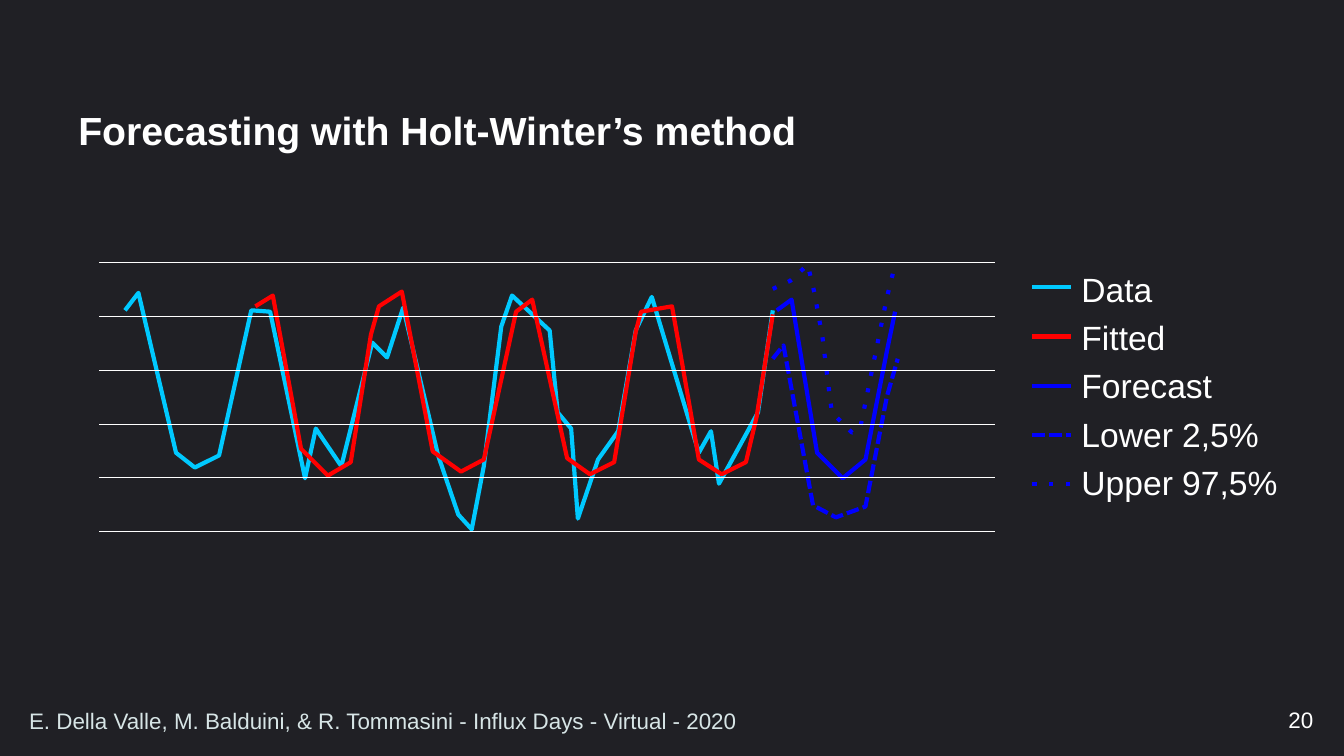
from dataclasses import dataclass

from pptx import Presentation
from pptx import util as u
from pptx.dml.color import RGBColor
from pptx.enum import shapes, text
from pptx.oxml import ns
from pptx.oxml.xmlchemy import OxmlElement


@dataclass(frozen=True)
class Theme:
    font: str = "Arial"
    background: str = "202025"
    ink: str = "FFFFFF"
    footer: str = "D7E5E6"
    data: str = "00C9FF"
    fitted: str = "FF0000"
    forecast: str = "0000FF"
    title_size: int = 21
    legend_size: int = 18
    footer_size: int = 12
    curve_width: float = 2.25
    grid_width: float = 0.25


THEME = Theme()
PLOT_UNIT = u.Cm(0.0254)  # curve points are whole hundredths of an inch

# Curves: legend label, colour, dash, points
CURVES = [
    ("Data", THEME.data, None, [
        (93, 231), (103, 218), (131, 337), (145, 348), (163, 339), (187, 231),
        (201, 232), (227, 356), (235, 319), (254, 347), (277, 255), (288, 266),
        (300, 229), (326, 339), (341, 383), (351, 394), (360, 347), (373, 243),
        (381, 220), (409, 246), (415, 307), (425, 319), (430, 386), (445, 342),
        (460, 321), (473, 246), (485, 221), (520, 337), (529, 321), (535, 360),
        (564, 307), (575, 231)]),
    ("Fitted", THEME.fitted, None, [
        (190, 228), (203, 220), (224, 334), (244, 354), (261, 344), (276, 249),
        (282, 228), (299, 217), (322, 336), (343, 351), (360, 342), (384, 232),
        (396, 223), (422, 341), (439, 353), (457, 344), (473, 247), (477, 232),
        (500, 228), (508, 273), (520, 342), (537, 353), (555, 344), (563, 310),
        (575, 234)]),
    ("Forecast", THEME.forecast, None, [
        (578, 231), (589, 223), (608, 337), (627, 356), (644, 342), (660, 261),
        (666, 232)]),
    ("Lower 2,5%", THEME.forecast, "sysDash", [
        (575, 267), (583, 257), (605, 376), (622, 385), (644, 377), (660, 295),
        (668, 267)]),
    ("Upper 97,5%", THEME.forecast, "dot", [
        (575, 215), (588, 209), (601, 197), (606, 218), (612, 251), (616, 284),
        (619, 307), (634, 322), (640, 319), (660, 221), (666, 197)]),
]


def write(frame, lines, *, size, color, bold=False, align=text.PP_ALIGN.LEFT,
          anchor=text.MSO_ANCHOR.MIDDLE, spacing=1.0, wrap=True):
    """Fill a text frame with one paragraph per line."""
    frame.word_wrap = wrap
    frame.auto_size = text.MSO_AUTO_SIZE.NONE
    frame.vertical_anchor = anchor
    for index, line in enumerate(lines):
        paragraph = frame.add_paragraph() if index else frame.paragraphs[0]
        paragraph.alignment = align
        paragraph.line_spacing = spacing
        paragraph.space_before = u.Pt(0)
        run = paragraph.add_run()
        run.text = line
        run.font.name = THEME.font
        run.font.size = u.Pt(size)
        run.font.bold = bold
        run.font.color.rgb = RGBColor.from_string(color)


class SlideBuilder:
    def __init__(self, theme, slide):
        self.theme = theme
        self.slide = slide
        fill = slide.background.fill
        fill.solid()
        fill.fore_color.rgb = RGBColor.from_string(theme.background)

    def title(self, line, left, top, width, height):
        holder = self.slide.shapes.title
        holder.left, holder.top = u.Cm(left), u.Cm(top)
        holder.width, holder.height = u.Cm(width), u.Cm(height)
        frame = holder.text_frame
        frame.margin_left = frame.margin_right = u.Cm(0.18)
        frame.margin_top = frame.margin_bottom = u.Cm(0.1)
        write(frame, [line], size=self.theme.title_size, color=self.theme.ink,
              bold=True, spacing=0.9)

    def label(self, lines, left, top, width, height, **style):
        box = self.slide.shapes.add_textbox(
            u.Cm(left), u.Cm(top), u.Cm(width), u.Cm(height))
        write(box.text_frame, lines, **style)

    def stroke(self, shape, color, width, dash=None):
        shape.line.color.rgb = RGBColor.from_string(color)
        shape.line.width = u.Pt(width)
        if dash:
            preset = OxmlElement("a:prstDash")
            preset.set("val", dash)
            shape.element.spPr.find(ns.qn("a:ln")).append(preset)

    def rule(self, left, right, y, color, width, dash=None):
        line = self.slide.shapes.add_connector(
            shapes.MSO_CONNECTOR.STRAIGHT,
            u.Cm(left), u.Cm(y), u.Cm(right), u.Cm(y))
        self.stroke(line, color, width, dash)
        line.element.spPr.append(OxmlElement("a:effectLst"))

    def curve(self, points, color, dash):
        start, *rest = points
        builder = self.slide.shapes.build_freeform(*start, scale=PLOT_UNIT)
        builder.add_line_segments(rest, close=False)
        outline = builder.convert_to_shape()
        outline.fill.background()
        outline.shadow.inherit = False
        self.stroke(outline, color, self.theme.curve_width, dash)


def main():
    deck = Presentation()
    deck.slide_width, deck.slide_height = u.Cm(25.4), u.Cm(14.29)
    page = SlideBuilder(THEME, deck.slides.add_slide(deck.slide_layouts[5]))

    # Title
    page.title("Forecasting with Holt-Winter’s method", 1.3, 1.7, 22.81, 1.63)

    # Curves
    for _, color, dash, points in CURVES:
        page.curve(points, color, dash)

    # Legend
    page.label([name for name, *_ in CURVES], 20.19, 4.8, 4.24, 4.8,
               size=THEME.legend_size, color=THEME.ink, spacing=1.2,
               anchor=text.MSO_ANCHOR.TOP, wrap=False)
    for row, (_, color, dash, _) in enumerate(CURVES):
        page.rule(19.51, 20.24, 5.43 + 0.93 * row, color,
                  THEME.curve_width, dash)

    # Grid lines
    for row in range(6):
        page.rule(1.88, 18.8, 4.95 + 1.02 * row, THEME.ink, THEME.grid_width)

    # Footer and page number
    page.label(["E. Della Valle, M. Balduini, & R. Tommasini - Influx Days"
                " - Virtual - 2020"], 0.3, 13.26, 18.92, 0.74,
               size=THEME.footer_size, color=THEME.footer)
    page.label(["20"], 19.35, 13.23, 5.72, 0.76, size=THEME.footer_size,
               color=THEME.ink, align=text.PP_ALIGN.RIGHT)

    deck.save("out.pptx")


if __name__ == "__main__":
    main()
